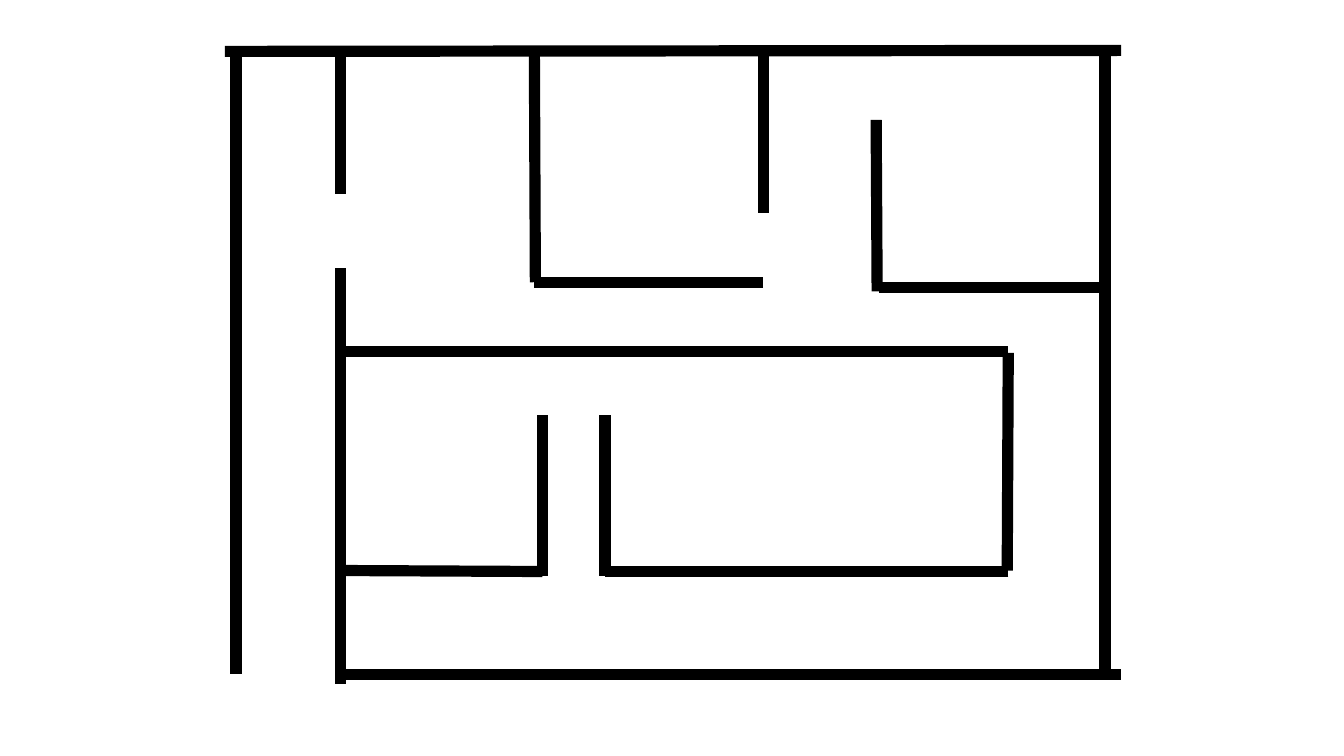
from lxml import etree
from pptx import Presentation
from pptx import util as u
from pptx.dml.color import RGBColor
from pptx.enum import shapes
from pptx.oxml import ns

COLORS = {"wall": "000000", "background": "FFFFFF"}
WALL_WIDTH = 8

# Grid lines of the floor plan, in inches
LEFT, CORRIDOR, ROOM, DOOR_LEFT, DOOR_RIGHT = 2.34, 3.38, 5.3, 5.38, 6
CENTER, ALCOVE, HALL, RIGHT, OVERHANG = 7.57, 8.7, 10, 10.96, 11.12
TOP, ROOM_BOTTOM, ALCOVE_BOTTOM = 0.51, 2.8, 2.85
HALL_TOP, DOOR_TOP, HALL_BOTTOM, BOTTOM = 3.49, 4.12, 5.67, 6.69
DOOR_END = HALL_BOTTOM + 0.04

# Each wall: start x, start y, end x, end y
WALLS = {
    "Outer": [
        (2.23, TOP, OVERHANG, 0.5),
        (LEFT, TOP, LEFT, BOTTOM),
        (RIGHT, TOP, RIGHT, BOTTOM),
        (CORRIDOR, BOTTOM, OVERHANG, BOTTOM),
    ],
    "Corridor": [
        (CORRIDOR, 2.66, CORRIDOR, 6.79),
        (CORRIDOR, TOP, CORRIDOR, 1.92),
    ],
    "Upper room": [
        (ROOM, 0.53, 5.31, ROOM_BOTTOM),
        (CENTER, ROOM_BOTTOM, ROOM, ROOM_BOTTOM),
        (CENTER, 0.52, CENTER, 2.11),
    ],
    "Hall": [
        (HALL, HALL_TOP, CORRIDOR, HALL_TOP),
        (HALL, HALL_BOTTOM, DOOR_RIGHT, HALL_BOTTOM),
        (HALL, 3.5, 9.99, 5.66),
        (DOOR_RIGHT, DOOR_TOP, DOOR_RIGHT, DOOR_END),
        (DOOR_LEFT, DOOR_TOP, DOOR_LEFT, DOOR_END),
        (DOOR_LEFT, HALL_BOTTOM, CORRIDOR, 5.66),
    ],
    "Alcove": [
        (8.69, 1.19, ALCOVE, 2.89),
        (10.99, ALCOVE_BOTTOM, 8.72, ALCOVE_BOTTOM),
    ],
}


def add_wall(slide, name, ends):
    """Draw one wall as a thick straight line without a shadow."""
    wall = slide.shapes.add_connector(
        shapes.MSO_CONNECTOR.STRAIGHT, *(u.Inches(length) for length in ends))
    wall.name = name
    wall.line.color.rgb = RGBColor.from_string(COLORS["wall"])
    wall.line.width = u.Pt(WALL_WIDTH)
    etree.SubElement(wall._element.spPr, ns.qn("a:effectLst"))


presentation = Presentation()
presentation.slide_width, presentation.slide_height = u.Inches(13.33), u.Inches(7.5)
slide = presentation.slides.add_slide(presentation.slide_layouts[6])
slide.background.fill.solid()
slide.background.fill.fore_color.rgb = RGBColor.from_string(COLORS["background"])

for area, walls in WALLS.items():
    for number, ends in enumerate(walls, 1):
        add_wall(slide, f"{area} wall {number}", ends)

presentation.save("out.pptx")
